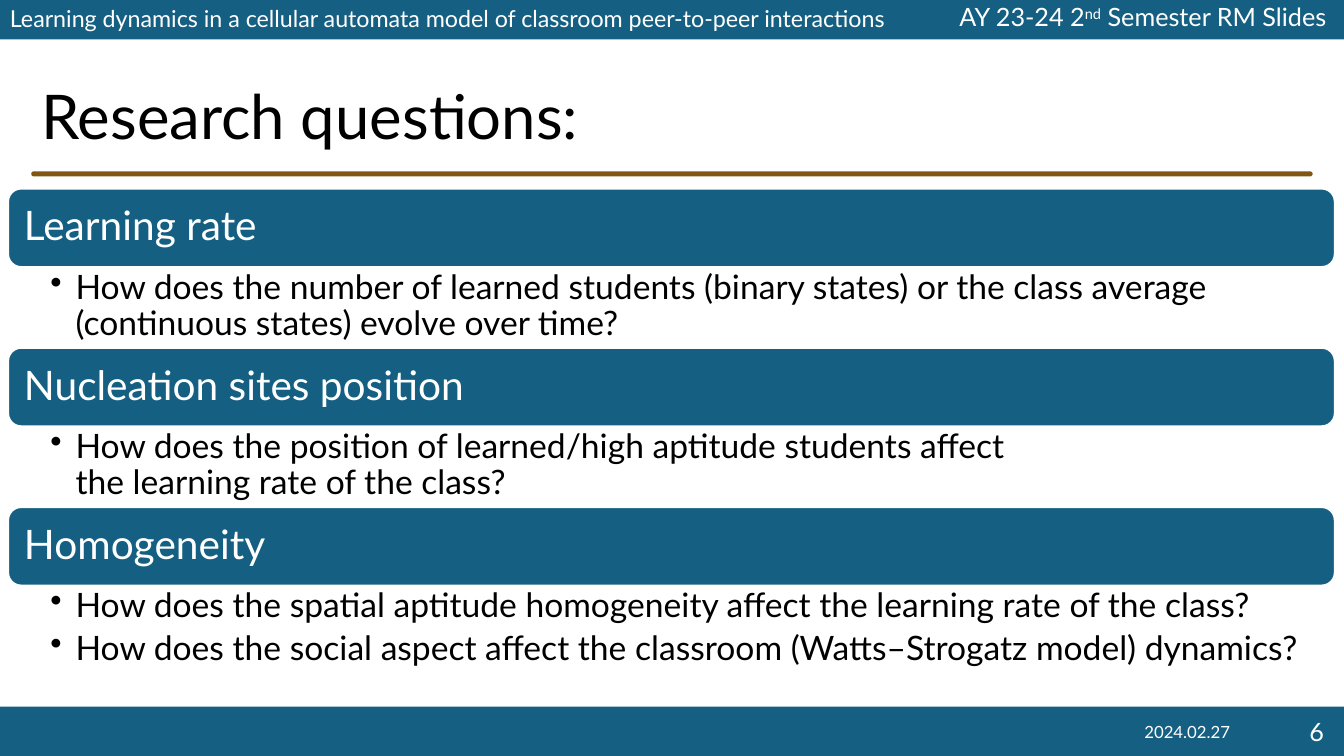
from pptx import Presentation
from pptx.dml.color import RGBColor as Rgb
from pptx.enum.shapes import MSO_SHAPE as Shape
from pptx.enum.text import MSO_ANCHOR as Anchor, MSO_AUTO_SIZE as Fit, PP_ALIGN as Align
from pptx.oxml.ns import qn
from pptx.util import Emu, Pt
from lxml.etree import SubElement

PX = 9144  # 100 px to the inch
WIDE, HIGH = 1333, 750
FONT = "Lato"
HUES = {"teal": "156082", "brown": "825515", "white": "FFFFFF", "black": "000000"}
TOPICS = [
    ("Learning rate", 80, [
        "How does the number of learned students (binary states) or the class average "
        "(continuous states) evolve over time?"]),
    ("Nucleation sites position", 80, [
        "How does the position of learned/high aptitude students affect\n"
        "the learning rate of the class?"]),
    ("Homogeneity", 89, [
        "How does the spatial aptitude homogeneity affect the learning rate of the class?",
        "How does the social aspect affect the classroom (Watts–Strogatz model) dynamics?"]),
]


def px(num):
    return Emu(num * PX)


def hue(name):
    return Rgb.from_string(HUES[name])


def apply(item, values):
    for key, value in values.items():
        setattr(item, key, value)


def style(para, size, color, **form):
    """Format a paragraph and all its runs."""
    apply(para, {"line_spacing": 0.9, "alignment": Align.LEFT, **form})
    for run in para.runs:
        apply(run.font, {"name": FONT, "size": Pt(size)})
        run.font.color.rgb = hue(color)


def frame(shape, anchor=Anchor.MIDDLE, pad=(10, 5, 10, 5)):
    sides = ("margin_left", "margin_top", "margin_right", "margin_bottom")
    text = shape.text_frame
    apply(text, {"word_wrap": True, "auto_size": Fit.NONE, "vertical_anchor": anchor,
                 **dict(zip(sides, map(px, pad)))})
    return text


def block(slide, kind, box, color):
    shape = slide.shapes.add_shape(kind, *map(px, box))
    shape.shadow.inherit = False
    shape.fill.solid()
    shape.fill.fore_color.rgb = hue(color)
    shape.line.fill.background()
    return shape


def label(slide, box, words, size, anchor=Anchor.MIDDLE, **form):
    text = frame(slide.shapes.add_textbox(*map(px, box)), anchor)
    para = text.paragraphs[0]
    for word in words:
        para.add_run().text = word
    style(para, size, "white", **form)
    return para


def header(slide, x, y, w, h):
    block(slide, Shape.RECTANGLE, (x, y, w, h), "teal")
    label(slide, (x, y, 921, h), [
        "Learning dynamics in a cellular automata model of classroom "
        "peer-to-peer interactions"], 16.6)
    term = label(slide, (x + 934, y, w - 934, h), ["AY 23-24 2", "nd", " Semester RM Slides"],
                 18, Anchor.TOP, alignment=Align.CENTER)
    term.runs[1].font._element.set("baseline", "30000")


def footer(slide, x, y, w, h):
    block(slide, Shape.RECTANGLE, (x, y, w, h), "teal")
    label(slide, (x + w - 215, y + 5, 119, 39), ["2024.02.27"], 12,
          alignment=Align.CENTER, line_spacing=1.0)
    label(slide, (x + w - 91, y + 5, 81, 39), ["6"], 18, Anchor.TOP,
          alignment=Align.RIGHT, line_spacing=1.0)


def heading(slide, x, y, w, h):
    """Place the title and the rule under it."""
    title = slide.shapes.title
    apply(title, dict(zip(("left", "top", "width", "height"), map(px, (x, y, 1092, 85)))))
    text = frame(title)
    text.text = "Research questions:"
    style(text.paragraphs[0], 44, "black")
    rule = block(slide, Shape.ROUNDED_RECTANGLE, (x, y + h - 5, w, 5), "brown")
    rule.adjustments[0] = 0.5


def bullet(para, words):
    para.text = words
    props = para._p.get_or_add_pPr()
    props.set("marL", str(px(25)))
    props.set("indent", str(px(-25)))
    SubElement(props, qn("a:buChar")).set("char", "•")
    style(para, 24, "black", space_after=Pt(5))


def topic(slide, x, y, w, h, name, asks):
    """Place a topic bar with its questions below."""
    bar = block(slide, Shape.ROUNDED_RECTANGLE, (x, y, w, 78), "teal")
    bar.line.color.rgb = hue("white")
    bar.line.width = Pt(1.5)
    text = frame(bar, pad=(12, 12, 12, 12))
    text.text = name
    style(text.paragraphs[0], 29, "white")
    body = slide.shapes.add_textbox(*map(px, (x, y + 78, w, h - 78)))
    text = frame(body, Anchor.TOP, (42, 3, 19, 3))
    for num, ask in enumerate(asks):
        bullet(text.add_paragraph() if num else text.paragraphs[0], ask)


def topics(slide, x, y, w):
    for name, room, asks in TOPICS:
        high = 78 + room
        topic(slide, x, y, w, high, name, asks)
        y += high


def main():
    deck = Presentation()
    apply(deck, {"slide_width": px(WIDE), "slide_height": px(HIGH)})
    slide = deck.slides.add_slide(deck.slide_layouts[5])
    header(slide, 0, 0, WIDE, 39)
    heading(slide, 31, 76, 1271, 99)
    topics(slide, 8, 187, 1316)
    footer(slide, 0, 701, WIDE, 49)
    deck.save("out.pptx")


if __name__ == "__main__":
    main()
